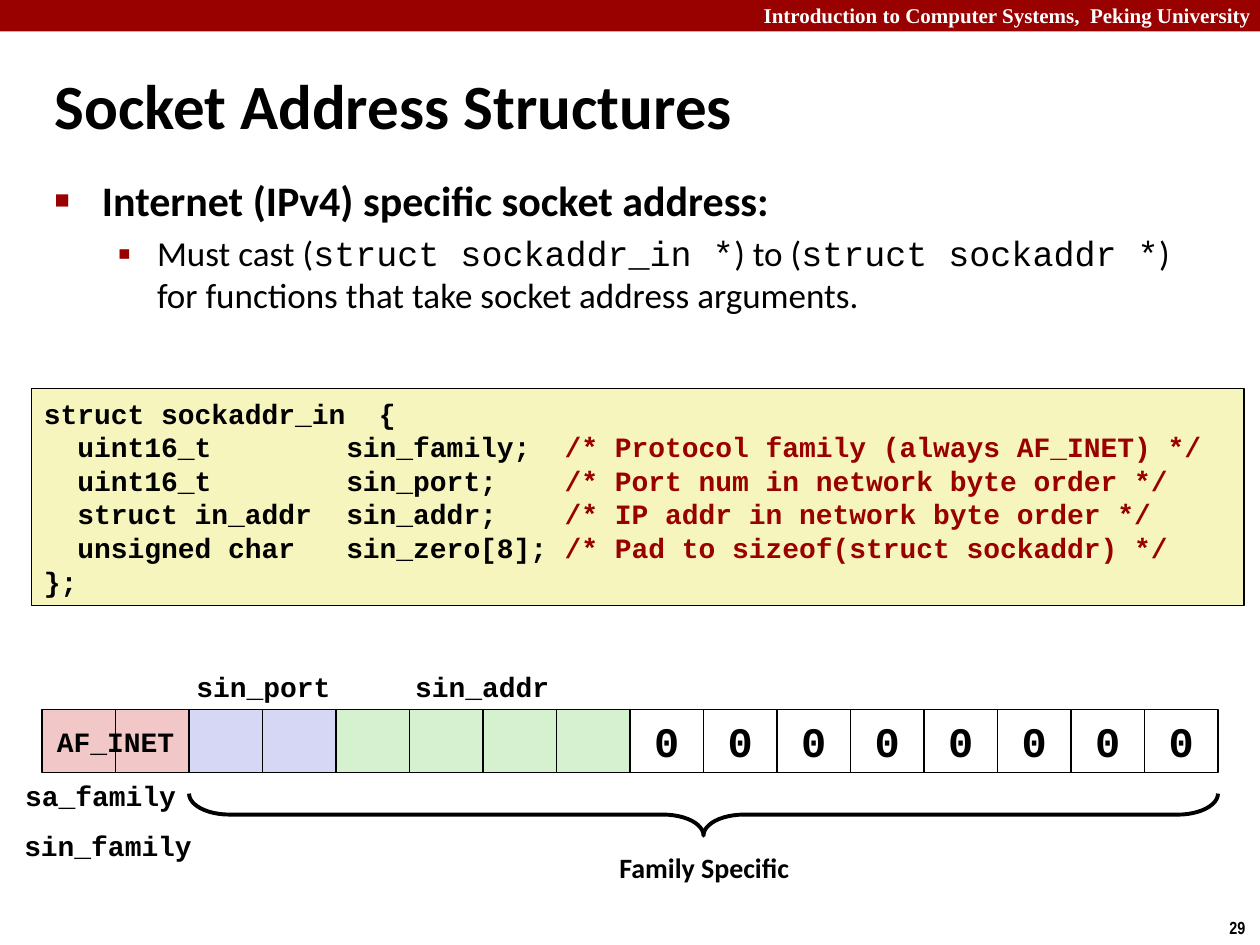
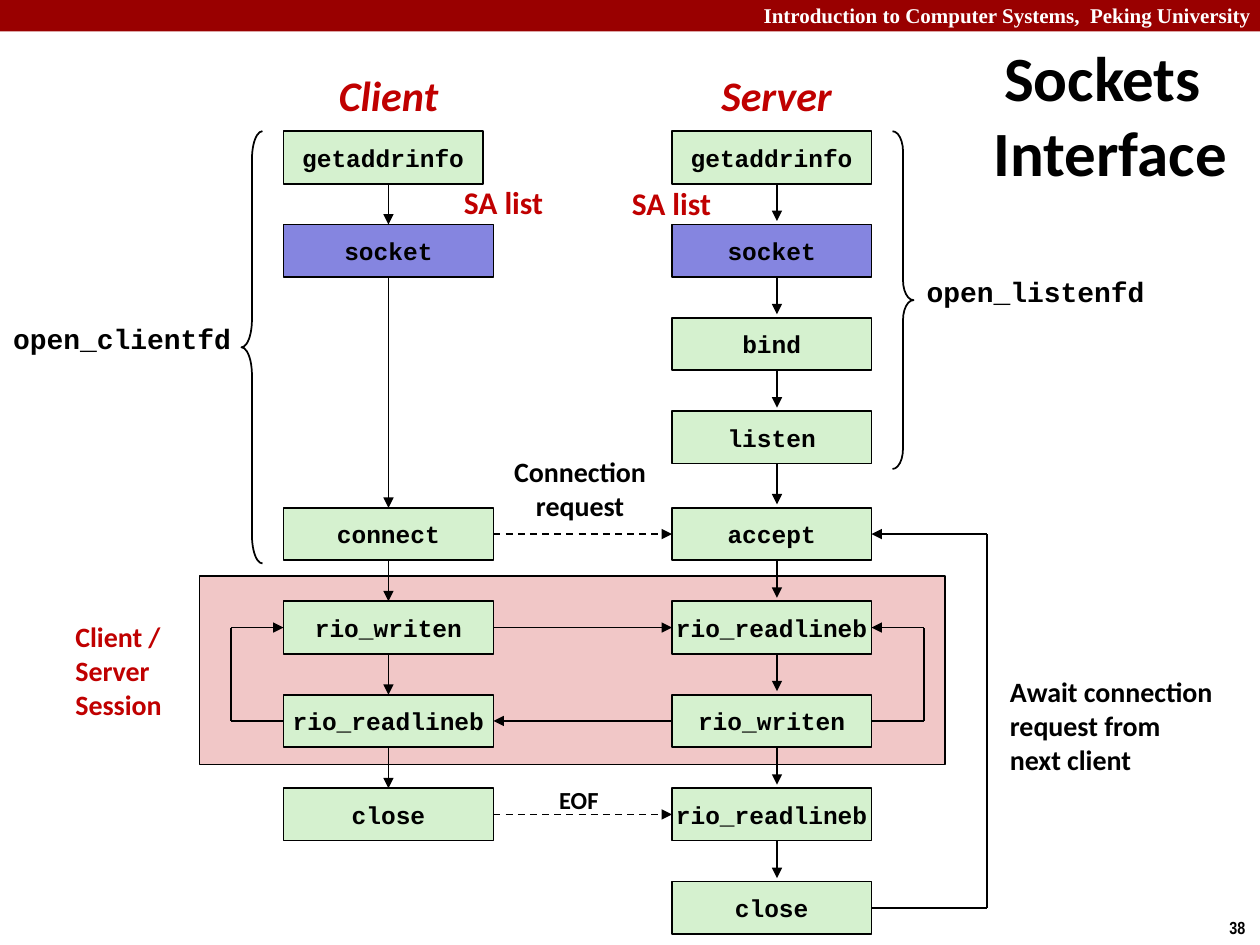
from dataclasses import dataclass
from itertools import pairwise

from lxml import etree
from pptx import Presentation
from pptx import util as u
from pptx.dml.color import RGBColor
from pptx.enum import dml, shapes, text
from pptx.oxml.ns import qn

Pt = u.Pt
LEFT, CENTER, RIGHT = text.PP_ALIGN.LEFT, text.PP_ALIGN.CENTER, text.PP_ALIGN.RIGHT
RECTANGLE = shapes.MSO_SHAPE.RECTANGLE


@dataclass(frozen=True)
class Theme:
    black: str = "000000"
    white: str = "FFFFFF"
    band: str = "990000"
    accent: str = "C00000"
    pink: str = "F1C7C7"
    lilac: str = "D6D6F5"
    blue: str = "8585E0"
    green: str = "D5F1CF"
    code_fill: str = "F6F5BD"
    sans: str = "Calibri"
    mono: str = "Courier New"
    title: int = 36
    heading: int = 24
    item: int = 20
    note: int = 18
    label: int = 16
    box: int = 14
    header: int = 12
    number: int = 10


theme = Theme()


def write(shape, lines, align=CENTER, wrap=False, **values):
    """Fill a shape with paragraphs; a line is a string or a list of (text, font values)."""
    frame = shape.text_frame
    frame.word_wrap = wrap
    frame.auto_size = text.MSO_AUTO_SIZE.NONE
    frame.vertical_anchor = text.MSO_ANCHOR.MIDDLE
    base = {"name": theme.sans, "size": theme.label, "bold": True, "color": theme.black}
    for index, line in enumerate(lines):
        paragraph = frame.add_paragraph() if index else frame.paragraphs[0]
        paragraph.alignment = align
        for words, changes in [(line, {})] if isinstance(line, str) else line:
            run = paragraph.add_run()
            run.text = words
            for key, value in (base | values | changes).items():
                if key == "color":
                    run.font.color.rgb = RGBColor.from_string(value)
                else:
                    setattr(run.font, key, Pt(value) if key == "size" else value)


def draw(slide, kind, at, fill=None, line_width=1):
    """Add a preset shape with a black outline, or none when line_width is 0."""
    shape = slide.shapes.add_shape(kind, *map(Pt, at))
    shape.shadow.inherit = False
    if fill:
        shape.fill.solid()
        shape.fill.fore_color.rgb = RGBColor.from_string(fill)
    else:
        shape.fill.background()
    if line_width:
        shape.line.color.rgb = RGBColor.from_string(theme.black)
        shape.line.width = Pt(line_width)
    else:
        shape.line.fill.background()
    return shape


presentation = Presentation()
presentation.slide_width, presentation.slide_height = Pt(720), Pt(540)

# Shared band, header, title and page number
slides = []
for layout, title, title_at, align, number in [
    (1, "Socket Address Structures", (24, 29, 686, 61), LEFT, "29"),
    (5, "Sockets Interface", (546, 18, 168, 94), CENTER, "38"),
]:
    slide = presentation.slides.add_slide(presentation.slide_layouts[layout])
    draw(slide, RECTANGLE, (0, 0, 720, 18), theme.band, 0)
    header = slide.shapes.add_textbox(Pt(294), Pt(-2), Pt(428), Pt(21.5))
    write(header, ["Introduction to Computer Systems,  Peking University"], RIGHT, True,
          name="Times New Roman", size=theme.header, color=theme.white)
    page_number = slide.shapes.add_textbox(Pt(695.5), Pt(520.5), Pt(24.5), Pt(19.5))
    write(page_number, [number], LEFT, name="Arial Narrow", size=theme.number)
    heading = slide.shapes.title
    heading.left, heading.top, heading.width, heading.height = map(Pt, title_at)
    write(heading, [title], align, True, size=theme.title)
    properties = heading.text_frame.paragraphs[0]._p.get_or_add_pPr()
    properties.set("marL", str(Pt(9)))
    properties.set("indent", str(Pt(-9)))
    slides.append(slide)
address_slide, interface_slide = slides

# Socket address structures: bullets
body = address_slide.placeholders[1]
body.left, body.top, body.width, body.height = map(Pt, (24, 96, 654, 132))
plain = {"size": theme.item, "bold": False}
code = plain | {"name": theme.mono}
write(body, [
    "Internet (IPv4) specific socket address:",
    [("Must cast (", plain), ("struct sockaddr_in *", code), (") to (", plain),
     ("struct sockaddr *", code),
     (") for functions that take socket address arguments.", plain)],
], LEFT, True, size=theme.heading)
body.text_frame.vertical_anchor = text.MSO_ANCHOR.TOP
bullets = [(27, -27, "60000", "■"), (58.5, -22.5, "110000", "▪")]
for level, (margin, indent, size, mark) in enumerate(bullets):
    paragraph = body.text_frame.paragraphs[level]
    paragraph.level = level
    properties = paragraph._p.get_or_add_pPr()
    properties.set("marL", str(Pt(margin)))
    properties.set("indent", str(Pt(indent)))
    color = etree.SubElement(properties, qn("a:buClr"))
    etree.SubElement(color, qn("a:srgbClr"), val=theme.band)
    etree.SubElement(properties, qn("a:buSzPct"), val=size)
    etree.SubElement(properties, qn("a:buChar"), char=mark)

# Structure definition, its columns set by tab stops
fields = [
    ("uint16_t", "sin_family;", "/* Protocol family (always AF_INET) */"),
    ("uint16_t", "sin_port;", "/* Port num in network byte order */"),
    ("struct in_addr", "sin_addr;", "/* IP addr in network byte order */"),
    ("unsigned char", "sin_zero[8];", "/* Pad to sizeof(struct sockaddr) */"),
]
definition = draw(address_slide, RECTANGLE, (18, 222, 693, 124), theme.code_fill)
write(definition, [
    "struct sockaddr_in  {",
    *[[(f"\t{kind}\t{name}\t", {}), (comment, {"color": theme.band})]
      for kind, name, comment in fields],
    "};",
], LEFT, True, name=theme.mono)
character_width = 9.6
for paragraph in definition.text_frame.paragraphs:
    tabs = etree.SubElement(paragraph._p.get_or_add_pPr(), qn("a:tabLst"))
    for column in (2, 18, 31):
        etree.SubElement(tabs, qn("a:tab"), pos=str(Pt(column * character_width)), algn="l")

# Byte layout
byte_fills = [theme.pink] * 2 + [theme.lilac] * 2 + [theme.green] * 4 + [theme.white] * 8
for index, fill in enumerate(byte_fills):
    byte = draw(address_slide, RECTANGLE, (24 + 42 * index, 405.5, 42, 36), fill)
    if fill == theme.white:
        write(byte, ["0"], name=theme.mono, size=theme.heading)
brace = draw(address_slide, shapes.MSO_SHAPE.RIGHT_BRACE, (390, 171.5, 24, 588), None, 2.25)
brace.rotation = 90
brace.adjustments[0] = 0.96

for words, at, font in [
    ("sa_family", (7, 441.5, 101, 26.5), theme.mono),
    ("sin_family", (6, 469.5, 111.5, 26.5), theme.mono),
    ("AF_INET", (24.5, 410.5, 83, 26.5), theme.mono),
    ("sin_port", (104.5, 379, 92, 26.5), theme.mono),
    ("sin_addr", (229.5, 379, 92, 26.5), theme.mono),
    ("Family Specific", (346, 482.5, 113, 26.5), theme.sans),
]:
    write(address_slide.shapes.add_textbox(*map(Pt, at)), [words], name=font)

# Sockets interface: session area and call boxes
draw(interface_slide, RECTANGLE, (114, 329, 426, 108), theme.pink)
tops = [75 + 53.3 * row for row in range(4)] + [290.2 + 53.4 * row for row in range(5)]
box_height = 30
middles = [top + box_height / 2 for top in tops]
client_left, client_right, client_axis = 162, 282, 222
server_left, server_right, server_axis = 384, 498, 444
client_calls = {0: "getaddrinfo", 1: "socket", 4: "connect", 5: "rio_writen",
                6: "rio_readlineb", 7: "close"}
server_calls = dict(enumerate(["getaddrinfo", "socket", "bind", "listen", "accept",
                               "rio_readlineb", "rio_writen", "rio_readlineb", "close"]))
client, server = {}, {}
for boxes, calls, left, right in [(client, client_calls, client_left, client_right),
                                  (server, server_calls, server_left, server_right)]:
    for row, call in calls.items():
        width = 114 if row == 0 else right - left
        fill = theme.blue if call == "socket" else theme.green
        boxes[row] = draw(interface_slide, RECTANGLE, (left, tops[row], width, box_height), fill)
        write(boxes[row], [call], name=theme.mono, size=theme.box)

# Each link: start, end, joined start, joined end, arrow, dashed
top_side, left_side, bottom_side, right_side = range(4)
links = []
for row, following in pairwise(client_calls):
    links.append(((client_axis, tops[row] + box_height), (client_axis, tops[following]),
                  (client[row], bottom_side) if row else None,
                  (client[following], top_side), True, False))
for row, following in pairwise(server_calls):
    links.append(((server_axis, tops[row] + box_height), (server_axis, tops[following] - 2),
                  None, None, True, False))
for row, to_server, dashed in [(4, True, True), (5, True, False),
                               (6, False, False), (7, True, True)]:
    ends = [((client_right, middles[row]), (client[row], right_side)),
            ((server_left, middles[row]), (server[row], left_side))]
    (start, begin), (end, finish) = ends if to_server else ends[::-1]
    links.append((start, end, begin, finish, True, dashed))
for boxes, edge, turn, side, row, back_row in [
    (client, client_left, 132, left_side, 6, 5),
    (server, server_right, 528, right_side, 6, 5),
    (server, server_right, 564, right_side, 8, 4),
]:
    low, high = middles[row], middles[back_row]
    links += [
        ((edge, low), (turn, low), (boxes[row], side), None, False, False),
        ((turn, low), (turn, high), None, None, False, False),
        ((turn, high), (edge, high), None, (boxes[back_row], side), True, False),
    ]

for start, end, begin, finish, arrow, dashed in links:
    connector = interface_slide.shapes.add_connector(
        shapes.MSO_CONNECTOR.STRAIGHT, *map(Pt, start + end))
    if begin:
        connector.begin_connect(*begin)
    if finish:
        connector.end_connect(*finish)
    connector.line.color.rgb = RGBColor.from_string(theme.black)
    connector.line.width = Pt(1)
    if dashed:
        connector.line.dash_style = dml.MSO_LINE.DASH
    if arrow:
        etree.SubElement(connector.line._get_or_add_ln(), qn("a:tailEnd"), type="triangle")
    etree.SubElement(connector._element.spPr, qn("a:effectLst"))

for kind, at, curve in [
    (shapes.MSO_SHAPE.RIGHT_BRACE, (510, 75, 12, 193), 0.96),
    (shapes.MSO_SHAPE.LEFT_BRACE, (138, 75, 12, 247), 1.33),
]:
    draw(interface_slide, kind, at).adjustments[0] = curve

role = {"size": theme.heading, "color": theme.accent, "italic": True}
result = {"size": theme.note, "color": theme.accent}
wrapper = {"name": theme.mono}
for lines, at, align, values in [
    (["Client"], (186, 36, 72, 36), CENTER, role),
    (["Server"], (404.5, 36, 78.5, 36), CENTER, role),
    (["SA list"], (258, 101, 60.5, 29), LEFT, result),
    (["SA list"], (354, 101.5, 60.5, 29), LEFT, result),
    (["open_clientfd"], (0, 180, 139.5, 26.5), CENTER, wrapper),
    (["open_listenfd"], (522, 153.5, 139.5, 26.5), CENTER, wrapper),
    (["Connection", "request"], (286, 256, 91, 46), CENTER, {}),
    (["EOF"], (312, 445, 37.5, 24.5), CENTER, {"size": theme.box}),
    (["Client / Server", "Session"], (36, 350.5, 66, 65), LEFT,
     {"color": theme.accent, "wrap": True}),
    (["Await connection", "request from", "next client"], (570, 382, 132, 65), LEFT, {}),
]:
    write(interface_slide.shapes.add_textbox(*map(Pt, at)), lines, align, **values)

presentation.save("out.pptx")
